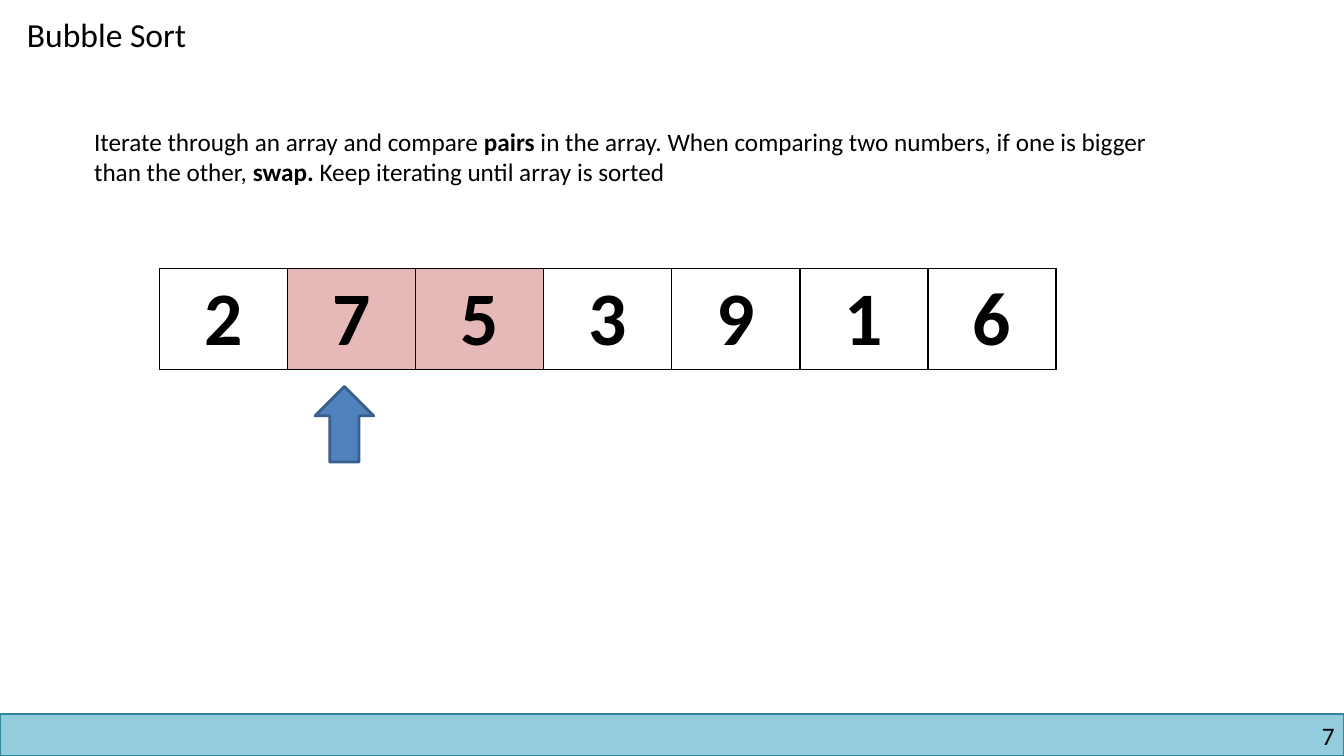
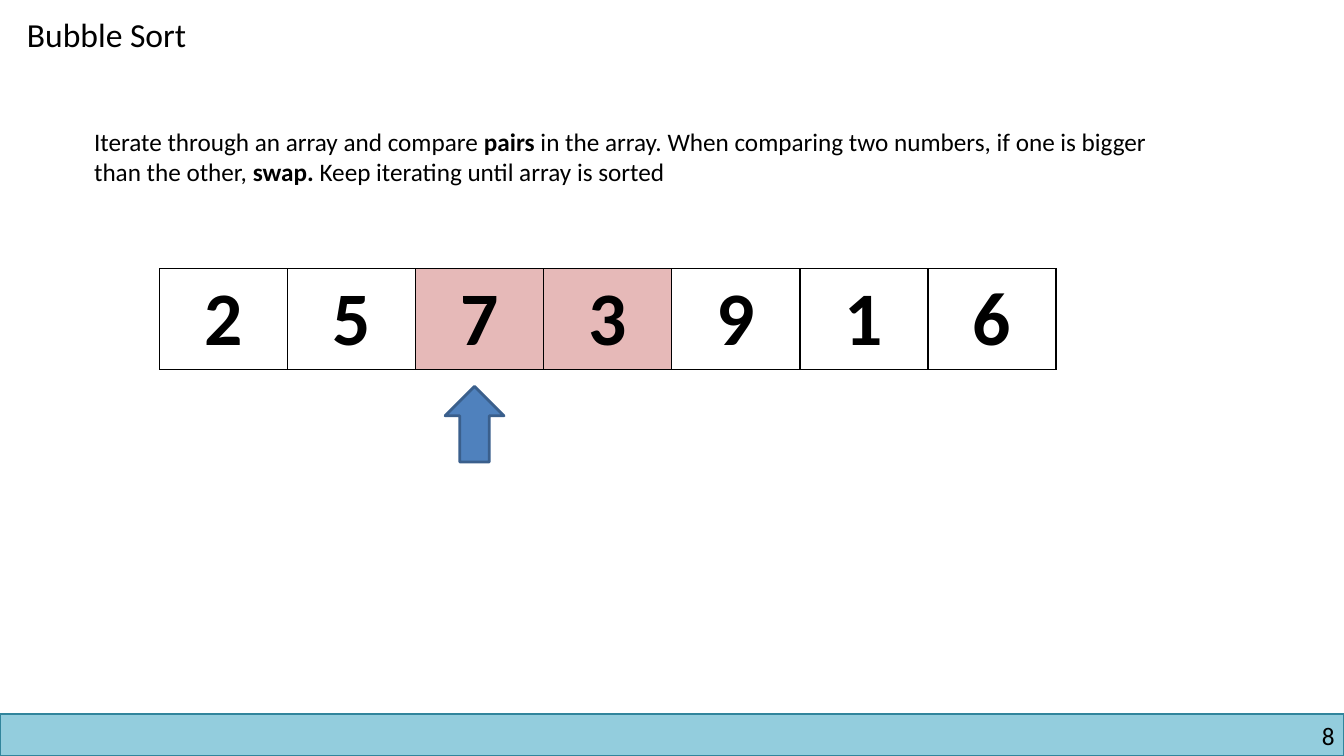
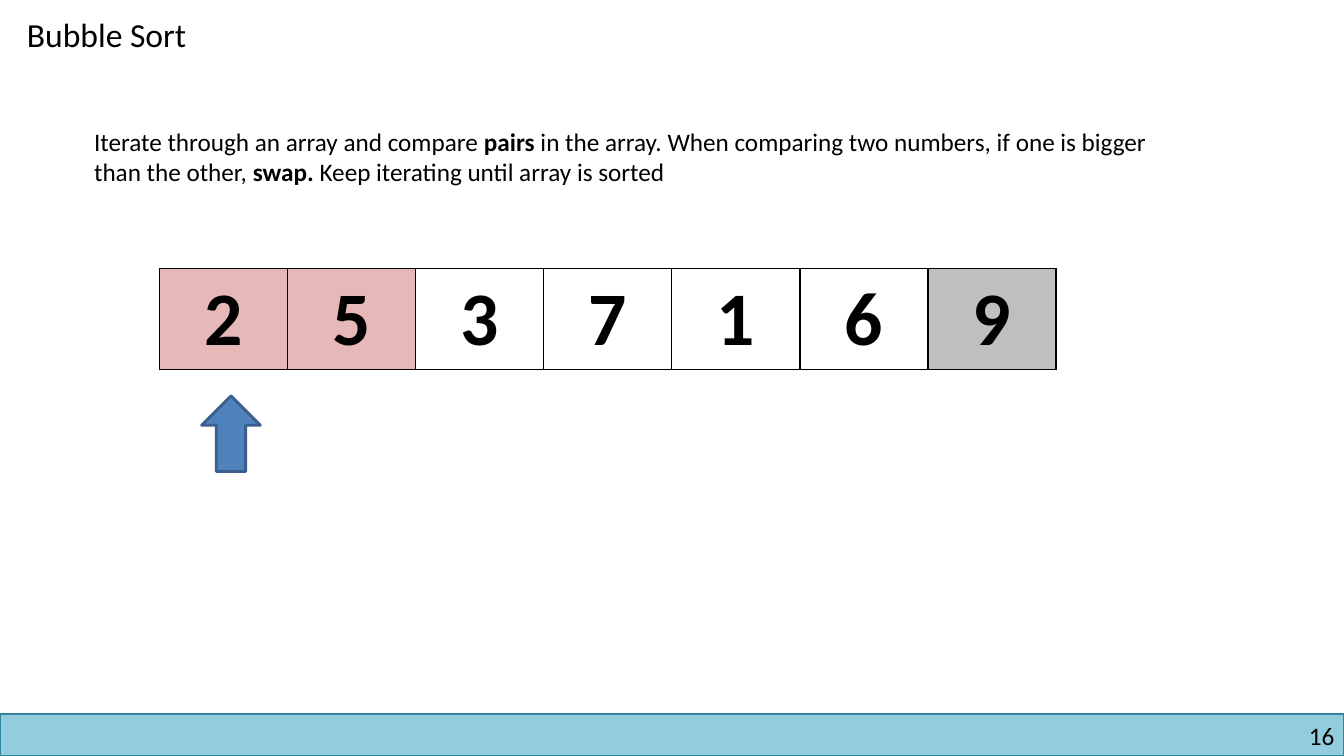
from lxml import etree
from pptx import Presentation
from pptx.dml.color import RGBColor
from pptx.enum.shapes import MSO_SHAPE
from pptx.enum.text import MSO_ANCHOR, MSO_AUTO_SIZE, PP_ALIGN
from pptx.oxml.ns import qn
from pptx.util import Pt

PX = 9525  # EMU in one px
WIDTH, HEIGHT = 1280, 720
RECTANGLE, UP_ARROW = MSO_SHAPE.RECTANGLE, MSO_SHAPE.UP_ARROW
LEFT, CENTER, RIGHT = PP_ALIGN.LEFT, PP_ALIGN.CENTER, PP_ALIGN.RIGHT
TOP, MIDDLE = MSO_ANCHOR.TOP, MSO_ANCHOR.MIDDLE
NO_FIT = MSO_AUTO_SIZE.NONE

FONT = "Calibri"
BLACK, WHITE = "000000", "FFFFFF"
BAND_FILL, BAND_LINE = "93CDDD", "31859C"
ARROW_FILL, ARROW_LINE = "4F81BD", "3A5F8C"
COMPARED, SORTED = "E6B9B8", "BFBFBF"

TITLE_BOX = (16, 8, 188, 48)
BODY_BOX = (80, 115, 1064, 68)
BAND_BOX = (0, 680, WIDTH, 40)
ARRAY_BOX = (152, 256, 854, 96)
ARROW_WIDTH, ARROW_HEIGHT = 56, 72

TITLE = [("Bubble Sort", False)]
RULE = [
    ("Iterate through an array and compare ", False),
    ("pairs", True),
    (" in the array. When comparing two numbers, if one is bigger than the other, ", False),
    ("swap. ", True),
    ("Keep iterating until array is sorted", False),
]

# The arrow is the offset of its top left corner from that of the array.
STEPS = [
    {"number": 7, "values": [2, 7, 5, 3, 9, 1, 6], "compared": (1, 2), "sorted": (), "arrow": (148, 112)},
    {"number": 8, "values": [2, 5, 7, 3, 9, 1, 6], "compared": (2, 3), "sorted": (), "arrow": (272, 112)},
    {"number": 16, "values": [2, 5, 3, 7, 1, 6, 9], "compared": (0, 1), "sorted": (6,), "arrow": (40, 121)},
]


def color(value):
    return RGBColor.from_string(value)


def emu(*lengths):
    return [length * PX for length in lengths]


def move(shape, box):
    shape.left, shape.top, shape.width, shape.height = emu(*box)


def write(frame, spans, size, align=LEFT):
    """Fill the first paragraph with (text, bold) spans."""
    para = frame.paragraphs[0]
    para.alignment = align
    para.space_before = Pt(0)
    for text, bold in spans:
        span = para.add_run()
        span.text = text
        span.font.name = FONT
        span.font.size = Pt(size)
        span.font.bold = bold
        span.font.color.rgb = color(BLACK)
    return para


def add_solid(page, kind, box, fill, line, weight):
    shape = page.shapes.add_shape(kind, *emu(*box))
    shape.shadow.inherit = False
    shape.fill.solid()
    shape.fill.fore_color.rgb = color(fill)
    shape.line.color.rgb = color(line)
    shape.line.width = Pt(weight)


def fill_placeholder(shape, box, spans, size, wrap):
    move(shape, box)
    frame = shape.text_frame
    frame.word_wrap = wrap
    frame.auto_size = NO_FIT
    frame.vertical_anchor = TOP
    return write(frame, spans, size)


def add_heading(page):
    fill_placeholder(page.shapes.title, TITLE_BOX, TITLE, 24, False)
    para = fill_placeholder(page.placeholders[1], BODY_BOX, RULE, 18, True)
    properties = para._p.get_or_add_pPr()
    properties.set("marL", "0")
    properties.set("indent", "0")
    etree.SubElement(properties, qn("a:buNone"))


def add_footer(page, box, number):
    left, top, width, height = box
    add_solid(page, RECTANGLE, box, BAND_FILL, BAND_LINE, 1)
    number_box = (left + width - 304, top + 6, 295, height - 11)
    frame = page.shapes.add_textbox(*emu(*number_box)).text_frame
    frame.word_wrap = True
    frame.margin_left = frame.margin_right = frame.margin_top = frame.margin_bottom = 0
    write(frame, [(str(number), False)], 18, RIGHT)


def set_borders(cell, line_color, weight):
    properties = cell._tc.get_or_add_tcPr()
    for side in ("a:lnL", "a:lnR", "a:lnT", "a:lnB"):
        line = etree.SubElement(properties, qn(side), w=str(Pt(weight)))
        fill = etree.SubElement(line, qn("a:solidFill"))
        etree.SubElement(fill, qn("a:srgbClr"), val=line_color)


def add_array(page, box, step):
    """Draw the array as a one-row table with the arrow below it."""
    left, top, width, height = box
    values = step["values"]
    table = page.shapes.add_table(1, len(values), *emu(*box)).table
    table.first_row = table.horz_banding = False
    for index, value in enumerate(values):
        table.columns[index].width = width * PX // len(values)
        cell = table.cell(0, index)
        cell.vertical_anchor = MIDDLE
        set_borders(cell, BLACK, 1)
        cell.fill.solid()
        fill = COMPARED if index in step["compared"] else SORTED if index in step["sorted"] else WHITE
        cell.fill.fore_color.rgb = color(fill)
        write(cell.text_frame, [(str(value), True)], 54, CENTER)
    across, down = step["arrow"]
    arrow_box = (left + across, top + down, ARROW_WIDTH, ARROW_HEIGHT)
    add_solid(page, UP_ARROW, arrow_box, ARROW_FILL, ARROW_LINE, 2)


def add_step(deck, step):
    page = deck.slides.add_slide(deck.slide_layouts[1])
    add_footer(page, BAND_BOX, step["number"])
    add_heading(page)
    add_array(page, ARRAY_BOX, step)


def main():
    deck = Presentation()
    deck.slide_width, deck.slide_height = emu(WIDTH, HEIGHT)
    for step in STEPS:
        add_step(deck, step)
    deck.save("out.pptx")


if __name__ == "__main__":
    main()
